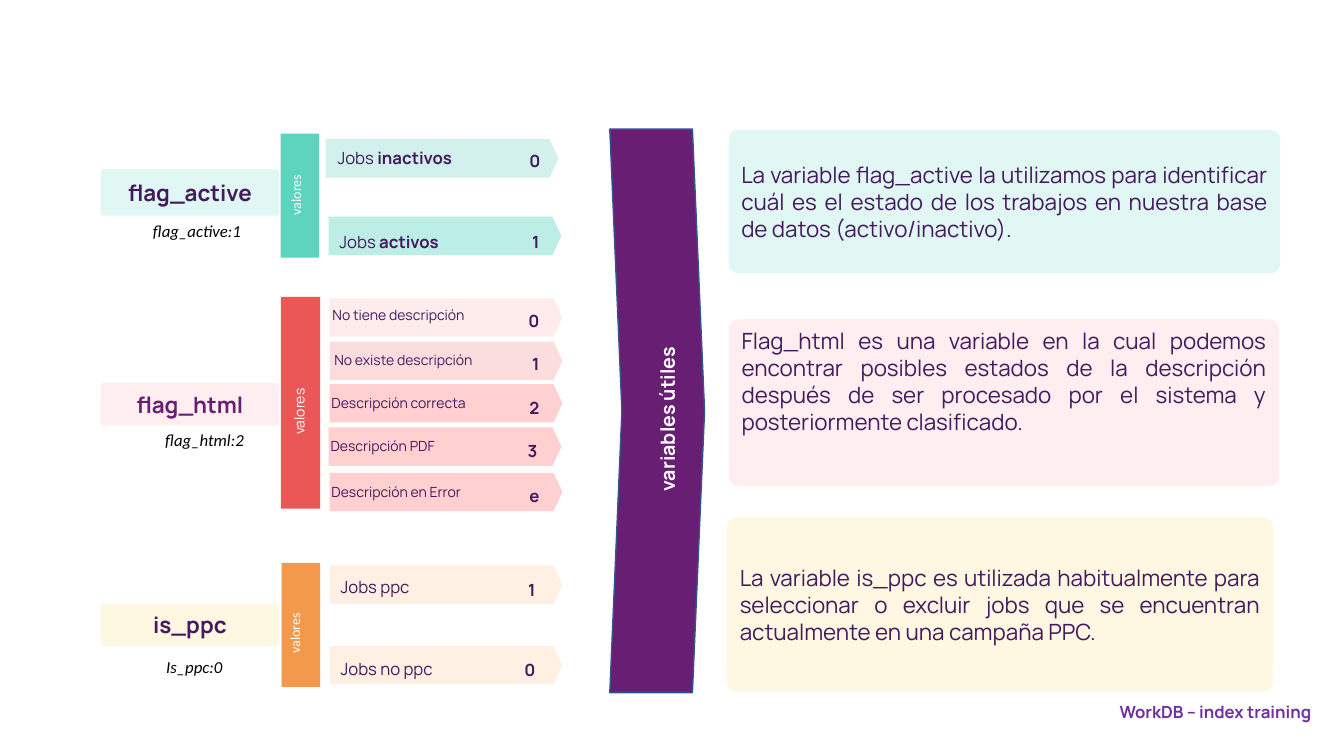
from lxml.etree import SubElement
from pptx import Presentation
from pptx.dml.color import RGBColor
from pptx.enum.shapes import MSO_SHAPE
from pptx.enum.text import MSO_ANCHOR, PP_ALIGN
from pptx.util import Pt

INK = "44195D"
WHITE = "FFFFFF"

deck = Presentation()
deck.slide_width, deck.slide_height = Pt(960), Pt(540)
page = deck.slides.add_slide(deck.slide_layouts[6])


def add_block(kind, left, top, width, height, fill, adjust, line=None, turn=0):
    """Add a filled preset shape; without a line colour it has no outline."""
    block = page.shapes.add_shape(kind, Pt(left), Pt(top), Pt(width), Pt(height))
    block.shadow.inherit = False
    block.adjustments[0] = adjust
    block.rotation = turn
    block.fill.solid()
    block.fill.fore_color.rgb = RGBColor.from_string(fill)
    if line:
        block.line.color.rgb = RGBColor.from_string(line)
        block.line.width = Pt(1)
    else:
        block.line.fill.background()
    return block


def write(text, frame=None, block=None, size=12, font="Manrope", color=INK,
          bold=False, italic=False, align=PP_ALIGN.LEFT, spacing=1.0,
          anchor=MSO_ANCHOR.TOP, turn=0):
    """Write text in a block, or in a new box at frame; *stars* mark bold words."""
    box = block or page.shapes.add_textbox(*[Pt(length) for length in frame])
    if turn:
        box.rotation = turn
    box.text_frame.word_wrap = True
    box.text_frame.vertical_anchor = anchor
    para = box.text_frame.paragraphs[0]
    para.alignment = align
    para.line_spacing = spacing
    for index, piece in enumerate(text.split("*")):
        if piece:
            span = para.add_run()
            span.text = piece
            span.font.name = font
            span.font.size = Pt(size)
            span.font.bold = bold or index % 2 == 1
            span.font.italic = italic
            span.font.color.rgb = RGBColor.from_string(color)


# Values: plate left, top, fill; label, its left, top, size; value, its left, top
values = [
    (232.6, 99.4, "D2F1EC", "Jobs *inactivos*", 234, 94.8, 12, "0", 299.5, 97.2),
    (234.7, 154.8, "BCEEE5", "Jobs *activos*", 235.4, 154.8, 12, "1", 298.8, 154.8),
    (235.4, 213.1, "FEEBEB", "No tiene descripción", 230.4, 209.5, 10, "0", 298.8, 211),
    (235.4, 244.1, "FBDDDE", "No existe descripción", 231.8, 241.2, 10, "1", 298.8, 242),
    (235.4, 274.3, "FFD0CF", "Descripción correcta", 229.7, 272.2, 10, "2", 298.8, 273),
    (234.7, 305.3, "FFD0CF", "Descripción PDF", 229, 303.1, 10, "3", 297.4, 303.8),
    (235.4, 337.7, "FFD0CF", "Descripción en Error", 229.7, 335.5, 10, "e", 298.8, 336.2),
    (235.4, 403.9, "FFF0E3", "Jobs ppc", 236.2, 401, 12, "1", 295.9, 403.2),
    (235.4, 461.5, "FFF0E3", "Jobs no ppc", 236.2, 459.4, 12, "0", 295.9, 460.8),
]
for (left, top, fill, label, label_left, label_top, size,
     value, value_left, value_top) in values:
    add_block(MSO_SHAPE.PENTAGON, left, top, 166.3, 27.4, fill, 0.231)
    write(label, (label_left, label_top, 146, 27.4), size=size, spacing=1.5)
    write(value, (value_left, value_top, 93.6, 27.4), bold=True,
          align=PP_ALIGN.RIGHT, spacing=1.5)

# Upright bars: frame before turning, fill; frame, font and spacing of the caption
bars = [
    ((169.9, 126, 88.6, 27.4), "5ED3BE", (167, 129.6, 88.6, 19.4), "Calibri", 1),
    ((139, 273.6, 151.2, 28.1), "EB5656", (140.4, 282.2, 139, 23.8), "Manrope", 1.5),
    ((170.6, 432.7, 88.6, 27.4), "F3994B", (166.3, 442.8, 88.6, 19.4), "Calibri", 1),
]
for frame, fill, caption_frame, font, spacing in bars:
    add_block(MSO_SHAPE.PENTAGON, *frame, fill, 0, turn=270)
    write("valores", caption_frame, size=10, font=font, color=WHITE,
          align=PP_ALIGN.CENTER, spacing=spacing, turn=270)

add_block(MSO_SHAPE.CHEVRON, 435.6, 92.2, 67.7, 402.5, "681E73", 0.128, line="325491")
write("variables útiles", (360, 284.2, 222.5, 30.2), size=14, color=WHITE,
      bold=True, align=PP_ALIGN.CENTER, spacing=1.5, turn=270)

# Variables: name, fill, name colour, top, height; example, its left, top
names = [
    ("flag_active", "E1F7F3", INK, 121, 33.1, "flag_active:1", 102.2, 154.1),
    ("flag_html", "FEEEEF", "681E73", 273.6, 30.2, "flag_html:2", 110.9, 303.1),
    ("is_ppc", "FEF7E2", INK, 431.3, 30.2, "Is_ppc:0", 111.6, 465.8),
]
for name, fill, color, top, height, example, example_left, example_top in names:
    tag = add_block(MSO_SHAPE.ROUNDED_RECTANGLE, 72, top, 127.4, height, fill, 0.061)
    write(name, block=tag, size=16, color=color, bold=True,
          align=PP_ALIGN.CENTER, anchor=MSO_ANCHOR.MIDDLE)
    write(example, (example_left, example_top, 85, 21.6), font="Calibri",
          color="000000", italic=True)

# Explanations: frame, fill, vertical anchor, text
cards = [
    ((520.6, 92.9, 393.8, 102.2), "E1F7F3", MSO_ANCHOR.MIDDLE,
     "La variable flag_active la utilizamos para identificar cuál es el estado "
     "de los trabajos en nuestra base de datos (activo/inactivo)."),
    ((520.6, 228.2, 393.1, 118.8), "FEEEEF", MSO_ANCHOR.TOP,
     "Flag_html es una variable en la cual podemos encontrar posibles estados de "
     "la descripción después de ser procesado por el sistema y posteriormente "
     "clasificado."),
    ((519.1, 369.4, 390.2, 124.6), "FEF7E2", MSO_ANCHOR.MIDDLE,
     "La variable is_ppc es utilizada habitualmente para seleccionar o "
     "excluir jobs que se encuentran actualmente en una campaña PPC."),
]
for frame, fill, anchor, text in cards:
    card = add_block(MSO_SHAPE.ROUNDED_RECTANGLE, *frame, fill, 0.061)
    write(text, block=card, size=16, align=PP_ALIGN.JUSTIFY, anchor=anchor)

write("WorkDB – index training", (792.7, 497.5, 165, 21.6), color="7030A0", bold=True)

deck.save("out.pptx")
